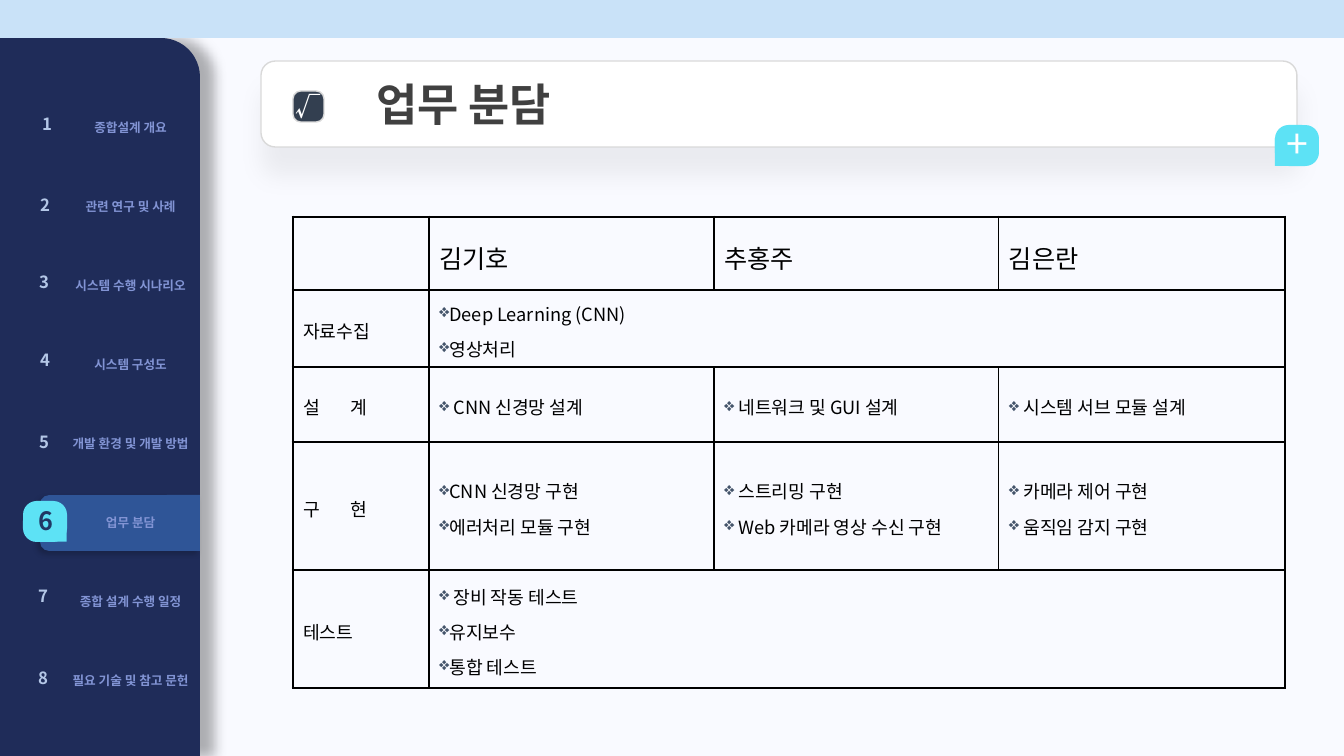
from pptx import Presentation, util as u
from pptx.dml.color import RGBColor
from pptx.enum import shapes, text
from pptx.oxml import parse_xml
from pptx.oxml.ns import nsdecls, qn

# Content
TITLE, CHECK, PLUS = "업무 분담", "√", "+"
MENU = ["종합설계 개요", "관련 연구 및 사례", "시스템 수행 시나리오", "시스템 구성도",
        "개발 환경 및 개발 방법", "업무 분담", "종합 설계 수행 일정", "필요 기술 및 참고 문헌"]
ACTIVE = 6
NAMES = ["김기호", "추홍주", "김은란"]
# Each task: label, then one list per person, or a single list for everyone
TASKS = [
    ("자료수집", [["Deep Learning (CNN)", "영상처리"]]),
    ("설 계", [[" CNN 신경망 설계"], [" 네트워크 및 GUI 설계"], [" 시스템 서브 모듈 설계"]]),
    ("구 현", [["CNN 신경망 구현", "에러처리 모듈 구현"],
             [" 스트리밍 구현", " Web 카메라 영상 수신 구현"],
             [" 카메라 제어 구현", " 움직임 감지 구현"]]),
    ("테스트", [[" 장비 작동 테스트", "유지보수", "통합 테스트"]]),
]

# Layout in px
WIDE, HIGH = 1344, 756
MARKS = [(47, 124), (45, 205), (44, 282), (45, 360), (44, 442), (46, 521), (43, 596), (43, 678)]
MENU_BOX, MENU_ROW = (54, 88, 153), 79
GRID_AT, GRID_COLS, GRID_ROWS = (293, 217), [136, 285, 285, 286], [73, 77, 75, 128, 118]

THEME = dict(
    font="Noto Sans CJK KR", back="F9FAFF", top="C9E2F8", navy="1F2C59", band="2F5597",
    cyan="5DE2F5", white="FFFFFF", edge="D9D9D9", head="404040", check="333F50",
    menu="8294D4", mark="B4C7E7", on="203864", ink="000000", bullet="44546A",
    tiny=9, small=12, body=13, mid=18, plus=28, big=32, thin=1, thick=2.25)
T = THEME
KIND = shapes.MSO_SHAPE
MID, CENTER = text.MSO_ANCHOR.MIDDLE, text.PP_ALIGN.CENTER


def px(n):
    return u.Emu(round(n * 914400 / 100.8))


def rgb(name):
    return RGBColor.from_string(T[name])


def assign(item, **vals):
    for key, val in vals.items():
        setattr(item, key, val)


def write(para, words, size, color, bold=False, **form):
    assign(para, **form)
    run = para.add_run()
    run.text = words
    assign(run.font, size=u.Pt(T[size]), name=T["font"], bold=bold)
    run.font.color.rgb = rgb(color)
    props = run.font._element
    props.append(parse_xml(f'<a:ea {nsdecls("a")} typeface="{T["font"]}"/>'))
    return props


def shape(kind, box, fill=None, line=None, adj=None, turn=0, shade=None):
    part = slide.shapes.add_shape(kind, *map(px, box))
    part.shadow.inherit = False
    part.rotation = turn
    if adj is not None:
        part.adjustments[0] = adj
    if fill:
        part.fill.solid()
        part.fill.fore_color.rgb = rgb(fill)
    else:
        part.fill.background()
    if line:
        part.line.color.rgb = rgb(line)
        part.line.width = u.Pt(T["thin"])
    else:
        part.line.fill.background()
    if shade:
        alpha, blur, dist, angle = shade
        glow = part._element.spPr.find(qn("a:effectLst"))
        glow.append(parse_xml(
            f'<a:outerShdw {nsdecls("a")} blurRad="{u.Pt(blur)}" dist="{u.Pt(dist)}" '
            f'dir="{angle * 60000}" algn="ctr" rotWithShape="0"><a:srgbClr val="{T["ink"]}">'
            f'<a:alpha val="{alpha * 1000}"/></a:srgbClr></a:outerShdw>'))
    return part


def label(part, words, size, color, bold=True, low=0, **form):
    frame = part.text_frame
    assign(frame, margin_left=0, margin_right=0, margin_top=0, margin_bottom=px(low),
           vertical_anchor=MID, word_wrap=False)
    write(frame.paragraphs[0], words, size, color, bold, **{"alignment": CENTER, **form})
    return frame.paragraphs[0]


def table(at, cols, rows):
    frame = slide.shapes.add_table(len(rows), len(cols), *map(px, (*at, sum(cols), sum(rows))))
    grid = frame.table
    assign(grid, first_row=False, horz_banding=False)
    style = grid._tbl.tblPr.find(qn("a:tableStyleId"))
    style.text = "{2D5ABB26-0587-4C30-8999-92F81FD0307C}"
    for col, wide in zip(grid.columns, cols):
        col.width = px(wide)
    for row, high in zip(grid.rows, rows):
        row.height = px(high)
    for cell in grid.iter_cells():
        cell.vertical_anchor = MID
        cell.fill.background()
    return grid


def border(cell, outer):
    props = cell._tc.get_or_add_tcPr()
    for at, side in enumerate("LRTB"):
        wide = u.Pt(T["thick" if outer[side] else "thin"])
        props.insert(at, parse_xml(
            f'<a:ln{side} {nsdecls("a")} w="{wide}"><a:solidFill>'
            f'<a:srgbClr val="{T["ink"]}"/></a:solidFill></a:ln{side}>'))


def fill_cell(cell, lines, size="body", bullet=False):
    frame = cell.text_frame
    for i, words in enumerate(lines):
        para = frame.add_paragraph() if i else frame.paragraphs[0]
        props = write(para, words, size, "ink", line_spacing=1.2,
                      space_before=u.Pt(T[size] * 0.2))
        if bullet:
            form = para._p.get_or_add_pPr()
            form.append(parse_xml(f'<a:buClr {nsdecls("a")}><a:srgbClr val="{T["bullet"]}"/></a:buClr>'))
            form.append(parse_xml(f'<a:buChar {nsdecls("a")} char="❖"/>'))
        elif " " in words:  # spread the two syllables of a label
            props.set("spc", "950")


deck = Presentation()
assign(deck, slide_width=px(WIDE), slide_height=px(HIGH))
slide = deck.slides.add_slide(deck.slide_layouts[6])
slide.background.fill.solid()
slide.background.fill.fore_color.rgb = rgb("back")

# Side panel, active band and its tag
shape(KIND.ROUND_1_RECTANGLE, (0, 38, 200, 718), "navy", adj=0.195, shade=(30, 9, 10, 0))
shape(KIND.ROUND_2_SAME_RECTANGLE, (92, 443, 56, 160), "band", turn=270, shade=(20, 4, 3, 135))
shape(KIND.ROUNDED_RECTANGLE, (23, 501, 44, 41), "cyan", adj=0.332)
shape(KIND.RIGHT_TRIANGLE, (37, 512, 28, 31), "cyan", turn=270)
shape(KIND.RECTANGLE, (0, 0, WIDE, 38), "top")

# Menu
left, top, wide = MENU_BOX
menu = table((left, top), [wide], [MENU_ROW] * len(MENU))
for i, (words, (x, y)) in enumerate(zip(MENU, MARKS)):
    write(menu.cell(i, 0).text_frame.paragraphs[0], words, "tiny", "menu", True, alignment=CENTER)
    size, color = ("mid", "on") if i + 1 == ACTIVE else ("small", "mark")
    label(shape(KIND.ROUNDED_RECTANGLE, (x - 8, y - 16, 16, 31), adj=0.245), str(i + 1), size, color)

# Title bar
bar = shape(KIND.ROUNDED_RECTANGLE, (261, 61, 1036, 86), "white", "edge", shade=(5, 17, 19, 90))
para = label(bar, TITLE, "big", "head", alignment=text.PP_ALIGN.LEFT, level=2)
para._p.get_or_add_pPr().set("marL", str(px(111)))
bar.text_frame.word_wrap = True
shape(KIND.RIGHT_TRIANGLE, (1275, 138, 31, 28), "cyan")
tag = shape(KIND.ROUNDED_RECTANGLE, (1275, 125, 44, 41), "cyan", adj=0.332)
label(tag, PLUS, "plus", "white", bold=False, low=5)
box = shape(KIND.ROUNDED_RECTANGLE, (293, 91, 31, 31), "check", "edge", adj=0.245)
label(box, CHECK, "mid", "white")

# Task table
grid = table(GRID_AT, GRID_COLS, GRID_ROWS)
last_row, last_col = len(GRID_ROWS) - 1, len(GRID_COLS) - 1
for r in range(last_row + 1):
    for c in range(last_col + 1):
        border(grid.cell(r, c), dict(L=c == 0, R=c == last_col, T=r == 0, B=r == last_row))
for c, name in enumerate(NAMES, 1):
    fill_cell(grid.cell(0, c), [name], "mid")
for r, (name, parts) in enumerate(TASKS, 1):
    fill_cell(grid.cell(r, 0), [name])
    if len(parts) == 1:
        grid.cell(r, 1).merge(grid.cell(r, last_col))
        border(grid.cell(r, 1), dict(L=False, R=True, T=False, B=r == last_row))
        for line in grid.cell(r, 1)._tc.tcPr.xpath("a:lnL|a:lnR|a:lnT|a:lnB")[4:]:
            line.getparent().remove(line)
    for c, lines in enumerate(parts, 1):
        fill_cell(grid.cell(r, c), lines, bullet=True)

deck.save("out.pptx")
